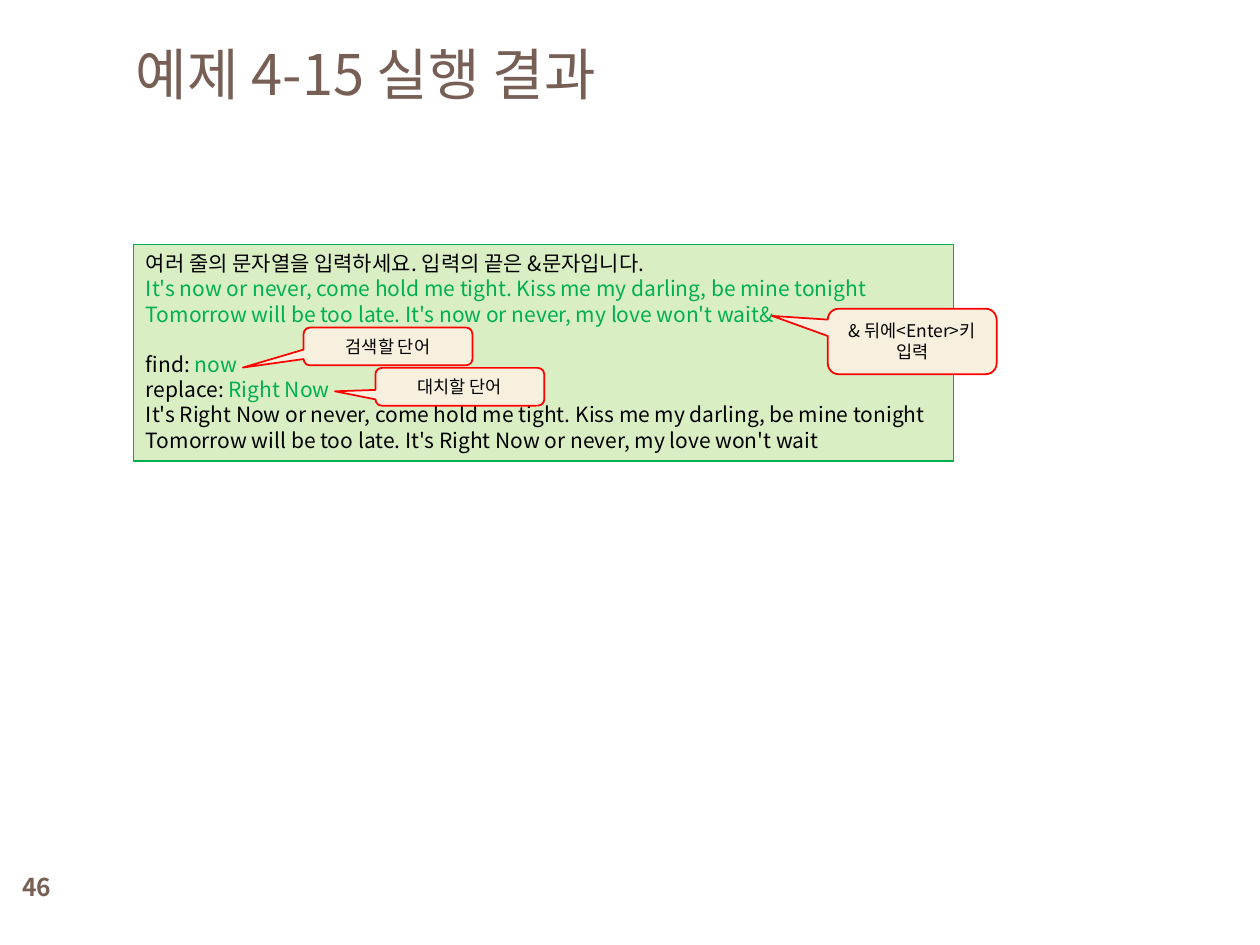
from lxml import etree
from pptx import Presentation
from pptx.dml.color import RGBColor
from pptx.enum.shapes import MSO_SHAPE
from pptx.enum.text import MSO_ANCHOR, PP_ALIGN
from pptx.oxml.ns import qn
from pptx.util import Inches, Pt

CALLOUT = MSO_SHAPE.ROUNDED_RECTANGULAR_CALLOUT
RECTANGLE = MSO_SHAPE.RECTANGLE
TOP, MIDDLE = MSO_ANCHOR.TOP, MSO_ANCHOR.MIDDLE
LEFT, CENTER = PP_ALIGN.LEFT, PP_ALIGN.CENTER
FONT = "Noto Sans CJK KR"
BROWN, BLACK, GREEN = "775F55", "000000", "00B050"


def rgb(value):
    return RGBColor.from_string(value)


def write(paragraph, runs, size, align=LEFT, bold=False):
    paragraph.alignment = align
    font = paragraph.font
    font.name, font.size, font.bold = FONT, Pt(size), bold
    font.color.rgb = rgb(runs[0][1])
    latin = paragraph._p.pPr.find(qn("a:defRPr")).find(qn("a:latin"))
    east_asian = etree.Element(qn("a:ea"))
    east_asian.set("typeface", FONT)
    latin.addnext(east_asian)
    for text, color in runs:
        run = paragraph.add_run()
        run.text = text
        if color != runs[0][1]:
            run.font.color.rgb = rgb(color)


deck = Presentation()
deck.slide_width, deck.slide_height = Inches(10), Inches(7.5)
slide = deck.slides.add_slide(deck.slide_layouts[6])

labels = [
    ("46", (0, 6.83, 0.58, 0.42), 14, CENTER, True),
    ("예제 4-15 실행 결과", (0.98, 0.21, 7.7, 0.74), 32, LEFT, False),
]
for text, place, size, align, bold in labels:
    label = slide.shapes.add_textbox(*map(Inches, place)).text_frame
    label.word_wrap = True
    label.vertical_anchor = MIDDLE
    write(label.paragraphs[0], [(text, BROWN)], size, align, bold)

console_lines = [
    [("여러 줄의 문자열을 입력하세요. 입력의 끝은 &문자입니다.", BLACK)],
    [("It's now or never, come hold me tight. Kiss me my darling, be mine tonight", GREEN)],
    [("Tomorrow will be too late. It's now or never, my love won't wait&", GREEN)],
    [("find: ", BLACK), ("now", GREEN)],
    [("replace: ", BLACK), ("Right Now", GREEN)],
    [("It's Right Now or never, come hold me tight. Kiss me my darling, be mine tonight", BLACK)],
    [("Tomorrow will be too late. It's Right Now or never, my love won't wait", BLACK)],
]
console = slide.shapes.add_shape(
    RECTANGLE, Inches(1.06), Inches(1.94), Inches(6.51), Inches(1.72))
console.shadow.inherit = False
console.fill.solid()
console.fill.fore_color.rgb = rgb("DAEEC4")
console.line.color.rgb = rgb(GREEN)
console.line.width = Pt(0.75)
output = console.text_frame
output.word_wrap = True
output.vertical_anchor = TOP
for index, runs in enumerate(console_lines):
    line = output.add_paragraph() if index else output.paragraphs[0]
    write(line, runs, 12)
    line.line_spacing = Pt(14.4)
    if runs[0][0] == "find: ":
        line.space_before = Pt(14.4)

callouts = [
    ("& 뒤에<Enter>키 입력", 6.57, 2.45, 0.52, (-0.83, -0.39)),
    ("검색할 단어", 2.41, 2.6, 0.3, (-0.86, 0.56)),
    ("대치할 단어", 2.98, 2.92, 0.3, (-0.74, 0.12)),
]
for text, left, top, height, tip in callouts:
    callout = slide.shapes.add_shape(
        CALLOUT, Inches(left), Inches(top), Inches(1.34), Inches(height))
    callout.adjustments[0], callout.adjustments[1] = tip
    callout.shadow.inherit = False
    callout.fill.solid()
    callout.fill.fore_color.rgb = rgb("F7F0DE")
    callout.line.color.rgb = rgb("FF0000")
    callout.line.width = Pt(1)
    note = callout.text_frame
    note.word_wrap = True
    note.vertical_anchor = MIDDLE
    write(note.paragraphs[0], [(text, BLACK)], 10, CENTER)
    note.paragraphs[0].line_spacing = Pt(12)

deck.save("out.pptx")
